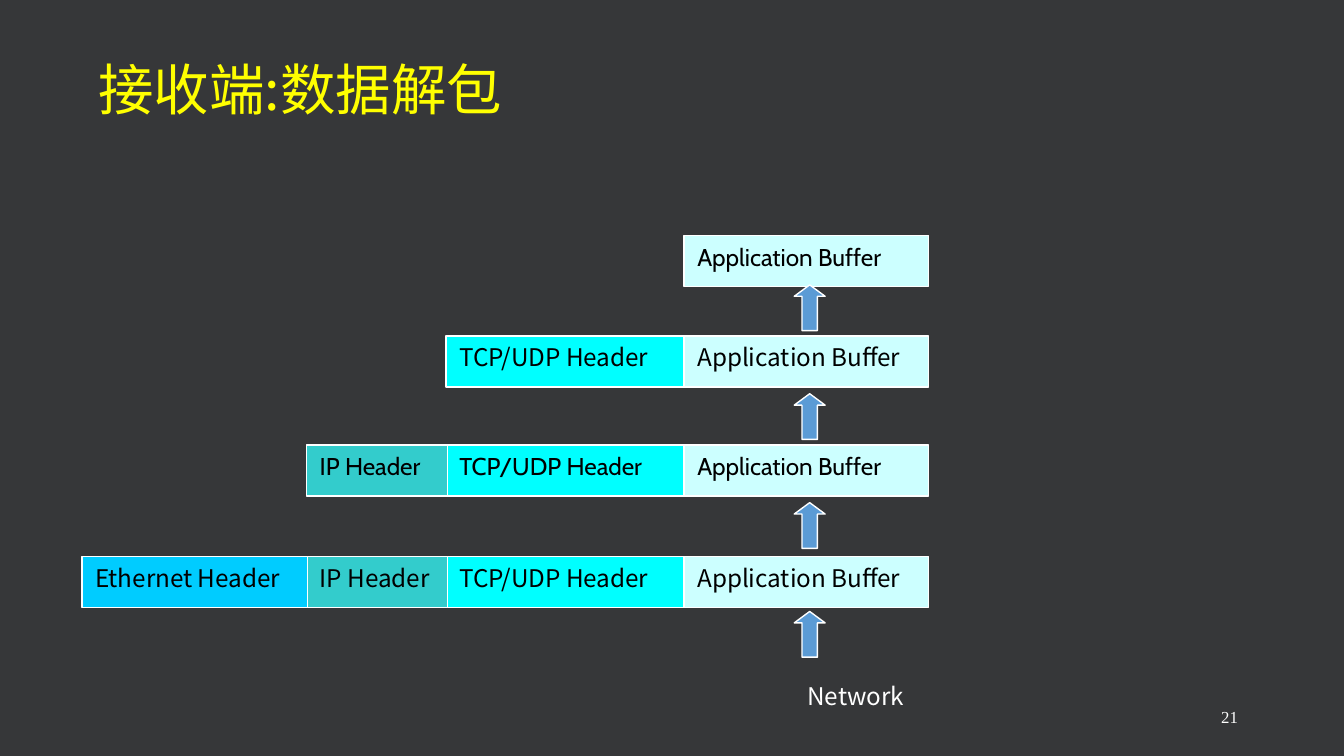
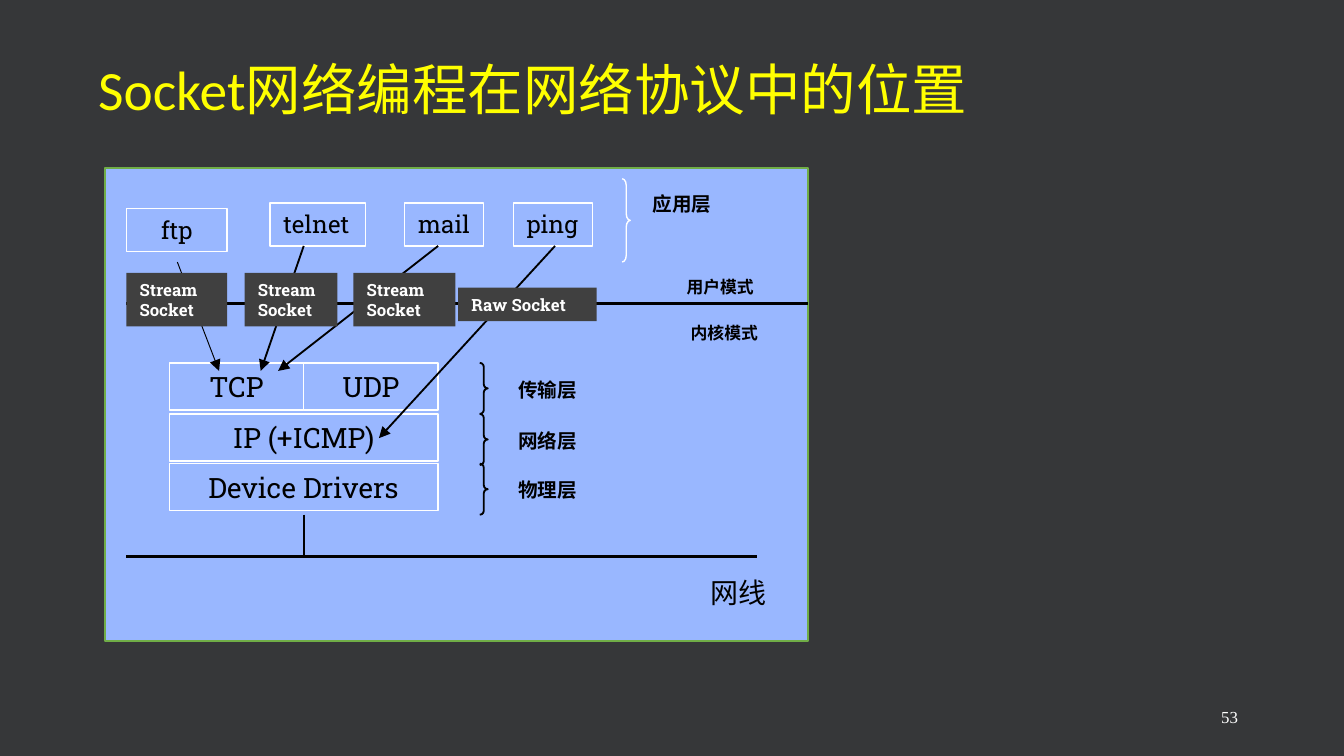
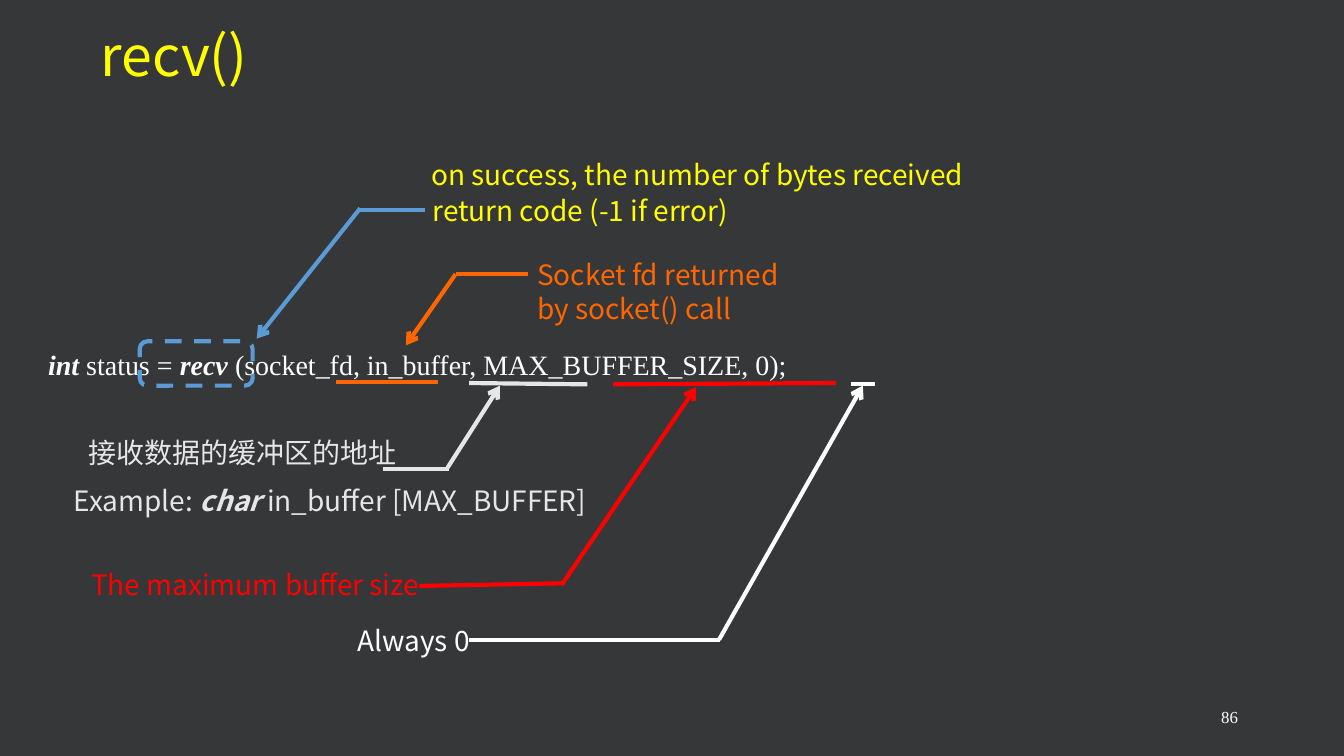
from dataclasses import dataclass
from typing import NamedTuple, Optional

from lxml import etree
from pptx import Presentation
from pptx import util as u
from pptx.dml.color import RGBColor
from pptx.enum import dml, shapes, text
from pptx.oxml.ns import qn

COLORS = {
    "background": "363739", "title": "FFFF00", "white": "FFFFFF", "black": "000000",
    "application": "CCFFFF", "transport": "00FFFF", "network": "33CCCC",
    "link": "00CCFF", "arrow": "5B9BD5", "panel": "99B7FF", "panel_edge": "70AD47",
    "socket": "404040", "gray": "E7E6E6", "red": "FF0000", "orange": "FF6600",
}
CJK, CABIN, SLAB, SERIF = "Noto Sans CJK SC", "Cabin", "Roboto Slab", "Times New Roman"
SHAPE, ALIGN = shapes.MSO_SHAPE, text.PP_ALIGN


class Area(NamedTuple):
    left: float
    top: float
    width: float
    height: float

    def lengths(self) -> list:
        return [u.Inches(value) for value in self]


class Point(NamedTuple):
    x: float
    y: float


@dataclass(frozen=True)
class Style:
    size: float
    font: str
    color: str = "black"
    bold: bool = False
    align: ALIGN = ALIGN.LEFT
    wrap: bool = False
    grow: bool = True


@dataclass(frozen=True)
class Layer:
    name: str
    left: float
    width: float
    color: str


@dataclass(frozen=True)
class Link:
    start: Point
    end: Point
    width: float = 1
    color: str = "black"
    head: str = ""


@dataclass(frozen=True)
class Callout:
    """A label, its leader and pointer, and the argument it underlines."""
    label: str
    area: Area
    color: str
    leader: tuple
    pointer: tuple
    underline: Optional[tuple] = None
    line_color: str = ""


def rgb(name: str) -> RGBColor:
    return RGBColor.from_string(COLORS[name])


def format_span(span, style: Style) -> None:
    span.font.size = u.Pt(style.size)
    span.font.bold = style.bold
    span.font.color.rgb = rgb(style.color)
    span.font.name = style.font
    east_asian = etree.SubElement(span.font._element, qn("a:ea"))
    east_asian.set("typeface", CJK)


def write(box, words: str, style: Style) -> None:
    """Fill a box line by line; words between asterisks become bold italic."""
    frame = box.text_frame
    frame.text = words.replace("*", "")
    frame.word_wrap = style.wrap
    frame.vertical_anchor = text.MSO_ANCHOR.TOP
    frame.auto_size = (text.MSO_AUTO_SIZE.SHAPE_TO_FIT_TEXT if style.grow
                       else text.MSO_AUTO_SIZE.NONE)
    for para, line in zip(frame.paragraphs, words.split("\n")):
        para.alignment = style.align
        para.clear()
        for index, piece in enumerate(line.split("*")):
            if piece:
                span = para.add_run()
                span.text = piece
                format_span(span, style)
                if index % 2:
                    span.font.bold = span.font.italic = True


def add_label(page, area: Area, words: str, style: Style) -> None:
    write(page.shapes.add_textbox(*area.lengths()), words, style)


def add_box(page, area: Area, fill: str = "", line: str = "", width: float = 0.75,
            kind: SHAPE = SHAPE.RECTANGLE, adjust: tuple = ()):
    box = page.shapes.add_shape(kind, *area.lengths())
    box.shadow.inherit = False
    for index, value in enumerate(adjust):
        box.adjustments[index] = value
    if fill:
        box.fill.solid()
        box.fill.fore_color.rgb = rgb(fill)
    else:
        box.fill.background()
    if line:
        box.line.color.rgb = rgb(line)
        box.line.width = u.Pt(width)
    else:
        box.line.fill.background()
    return box


def add_link(page, link: Link) -> None:
    ends = [u.Inches(value) for value in (*link.start, *link.end)]
    line = page.shapes.add_connector(shapes.MSO_CONNECTOR.STRAIGHT, *ends)
    line.line.color.rgb = rgb(link.color)
    line.line.width = u.Pt(link.width)
    if link.head:
        tail = etree.SubElement(line.line._get_or_add_ln(), qn("a:tailEnd"))
        tail.set("type", link.head)
    etree.SubElement(line._element.spPr, qn("a:effectLst"))


def add_page(deck, title: str, number: int, width: float = 6.56, top: float = 0.45,
             font: str = CJK, inset: Point = Point(0.08, 0.04)):
    """Add a page with its title and page number."""
    page = deck.slides.add_slide(deck.slide_layouts[5])
    box = page.shapes.title
    box.left, box.top, box.width, box.height = Area(0.65, top, width, 0.47).lengths()
    write(box, title, Style(29.7, font, "title", wrap=True, grow=False))
    frame = box.text_frame
    frame.vertical_anchor = text.MSO_ANCHOR.MIDDLE
    frame.margin_left = frame.margin_right = u.Inches(inset.x)
    frame.margin_top = frame.margin_bottom = u.Inches(inset.y)
    frame.paragraphs[0].line_spacing = 0.9
    add_label(page, Area(7.06, 5.21, 2.25, 0.3), str(number),
              Style(9, SERIF, "white", align=ALIGN.RIGHT, wrap=True, grow=False))
    return page


def build_unpacking(deck) -> None:
    page = add_page(deck, "接收端:数据解包", 21)
    add_label(page, Area(5.91, 5.02, 0.95, 0.32), "Network", Style(13, CJK, "white"))
    layers = [
        Layer("Application Buffer", 5.09, 1.82, "application"),
        Layer("TCP/UDP Header", 3.32, 1.77, "transport"),
        Layer("IP Header", 2.28, 1.05, "network"),
        Layer("Ethernet Header", 0.61, 1.68, "link"),
    ]
    row_tops = [1.75, 2.5, 3.31, 4.14]
    row_fonts = [CABIN, CJK, CABIN, CJK]
    for count, (top, font) in reversed(list(enumerate(zip(row_tops, row_fonts), start=1))):
        for layer in layers[:count]:
            box = add_box(page, Area(layer.left, top, layer.width, 0.38),
                          layer.color, "white")
            write(box, layer.name, Style(13, font, grow=False))
    for step in reversed(range(len(row_tops))):
        add_box(page, Area(5.91, 2.12 + 0.81 * step, 0.23, 0.34), "arrow", "white",
                kind=SHAPE.UP_ARROW, adjust=(0.5, 0.37))


def build_socket_position(deck) -> None:
    page = add_page(deck, "Socket网络编程在网络协议中的位置", 53, width=7.79, font="Calibri")
    add_box(page, Area(0.78, 1.25, 5.23, 3.52), "panel", "panel_edge", 1)

    program = Style(13, SLAB)
    centred = Style(13, SLAB, align=ALIGN.CENTER, wrap=True)
    protocol = Style(15, SLAB, align=ALIGN.CENTER, wrap=True)
    outlined = [
        ("ftp", Area(0.94, 1.55, 0.75, 0.32), centred),
        ("ping", Area(3.82, 1.51, 0.59, 0.32), program),
        ("telnet", Area(2.01, 1.51, 0.71, 0.32), program),
        ("mail", Area(3.01, 1.51, 0.59, 0.32), program),
        ("TCP", Area(1.26, 2.7, 1, 0.35), protocol),
        ("UDP", Area(2.26, 2.7, 1, 0.35), protocol),
        ("IP (+ICMP)", Area(1.26, 3.08, 2, 0.35), protocol),
        ("Device Drivers", Area(1.26, 3.45, 2, 0.35), protocol),
    ]
    for name, area, style in outlined:
        write(add_box(page, area, line="white"), name, style)

    mode_border = Link(Point(0.94, 2.26), Point(6.01, 2.26), 1.5)
    cable = Link(Point(0.94, 4.14), Point(5.63, 4.14), 1.5)
    cable_drop = Link(Point(2.26, 3.83), Point(2.26, 4.14))
    calls = [
        Link(Point(1.32, 1.95), Point(1.63, 2.76), 0.5, head="triangle"),
        Link(Point(2.26, 1.83), Point(1.94, 2.76), head="triangle"),
        Link(Point(3.26, 1.83), Point(2.07, 2.76), head="triangle"),
        Link(Point(4.13, 1.83), Point(2.82, 3.26), head="triangle"),
    ]
    for link in (mode_border, *calls, cable, cable_drop):
        add_link(page, link)

    layer_style = Style(10.5, SLAB, bold=True)
    mode_style = Style(9, SLAB, bold=True)
    add_label(page, Area(5.19, 4.23, 0.62, 0.35), "网线", Style(15, SLAB))
    add_label(page, Area(4.76, 1.38, 0.64, 0.28), "应用层", layer_style)
    add_box(page, Area(4.63, 1.33, 0.06, 0.62), line="white",
            kind=SHAPE.RIGHT_BRACE, adjust=(0.83, 0.5))
    for name, top in (("传输层", 2.7), ("网络层", 3.08), ("物理层", 3.45)):
        add_label(page, Area(3.76, top + 0.06, 1.57, 0.28), name,
                  Style(10.5, SLAB, bold=True, wrap=True))
        add_box(page, Area(3.57, top, 0.06, 0.38), line="black", width=1,
                kind=SHAPE.RIGHT_BRACE, adjust=(0.5, 0.5))
    add_label(page, Area(5.04, 2.35, 0.71, 0.25), "内核模式", mode_style)
    add_label(page, Area(5.01, 2.01, 0.71, 0.25), "用户模式", mode_style)

    sockets = [
        ("Raw Socket", Area(3.41, 2.14, 1.03, 0.25)),
        ("Stream\nSocket", Area(0.94, 2.03, 0.75, 0.4)),
        ("Stream\nSocket", Area(1.82, 2.03, 0.69, 0.4)),
        ("Stream\nSocket", Area(2.63, 2.03, 0.76, 0.4)),
    ]
    for name, area in sockets:
        write(add_box(page, area, "socket"), name,
              Style(9, SLAB, "white", bold=True, wrap=True))


def add_callout(page, callout: Callout) -> None:
    add_label(page, callout.area, callout.label, Style(15, CJK, callout.color))
    color = callout.line_color or callout.color
    if callout.underline:
        add_link(page, Link(*callout.underline, 2.25, color))
    add_link(page, Link(*callout.leader, 2.25, color))
    add_link(page, Link(*callout.pointer, 2.25, color, "arrow"))


def build_recv(deck) -> None:
    page = add_page(deck, "recv()", 86, top=0.2, inset=Point(0.1, 0.05))
    add_label(page, Area(0.26, 2.54, 5.75, 0.35),
              "*int* status = *recv* (socket_fd, in_buffer, MAX_BUFFER_SIZE, 0);",
              Style(15, SERIF, "white"))
    status_frame = add_box(page, Area(1.04, 2.54, 0.84, 0.33), line="arrow", width=2.25,
                           kind=SHAPE.ROUNDED_RECTANGLE, adjust=(0.17,))
    status_frame.line.dash_style = dml.MSO_LINE.DASH
    callouts = [
        Callout("return code (-1 if error)", Area(3.12, 1.39, 2.54, 0.35), "title",
                leader=(Point(3.16, 1.56), Point(2.67, 1.56)),
                pointer=(Point(2.68, 1.55), Point(1.91, 2.52)), line_color="arrow"),
        Callout("Always 0", Area(2.56, 4.59, 1.08, 0.35), "white",
                leader=(Point(3.49, 4.76), Point(5.36, 4.76)),
                pointer=(Point(5.35, 4.76), Point(6.42, 2.87)),
                underline=(Point(6.33, 2.86), Point(6.51, 2.86))),
        Callout("The maximum buffer size", Area(0.58, 4.17, 2.75, 0.35), "red",
                leader=(Point(3.12, 4.36), Point(4.2, 4.34)),
                pointer=(Point(4.18, 4.35), Point(5.18, 2.88)),
                underline=(Point(4.56, 2.86), Point(6.22, 2.85))),
        Callout("接收数据的缓冲区的地址", Area(0.56, 3.19, 2.52, 0.35), "gray",
                leader=(Point(2.85, 3.49), Point(3.34, 3.49)),
                pointer=(Point(3.33, 3.48), Point(3.72, 2.87)),
                underline=(Point(3.49, 2.85), Point(4.37, 2.86))),
        Callout("Socket fd returned\nby socket() call", Area(3.9, 1.87, 2.07, 0.61), "orange",
                leader=(Point(3.39, 2.04), Point(3.93, 2.04)),
                pointer=(Point(3.39, 2.04), Point(3.02, 2.57)),
                underline=(Point(2.5, 2.84), Point(3.26, 2.84))),
    ]
    for callout in callouts:
        add_callout(page, callout)
    add_label(page, Area(0.45, 3.55, 4.12, 0.35),
              "Example: *char* in_buffer [MAX_BUFFER]", Style(15, CJK, "gray"))
    add_label(page, Area(3.11, 1.12, 4.35, 0.35),
              "on success, the number of bytes received", Style(15, CJK, "title"))


def main() -> None:
    deck = Presentation()
    deck.slide_width = u.Inches(10)
    deck.slide_height = u.Inches(10 * 9 / 16)
    backdrop = deck.slide_master.background.fill
    backdrop.solid()
    backdrop.fore_color.rgb = rgb("background")
    build_unpacking(deck)
    build_socket_position(deck)
    build_recv(deck)
    deck.save("out.pptx")


if __name__ == "__main__":
    main()
